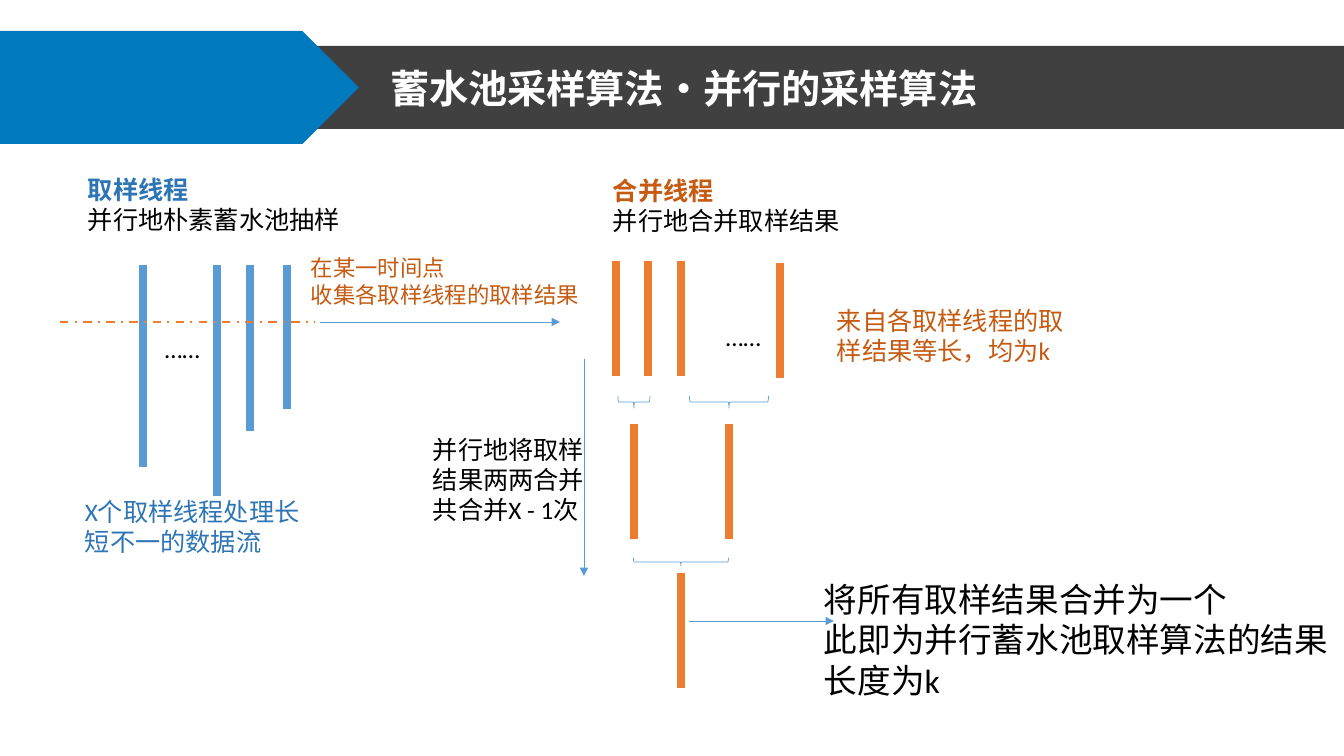
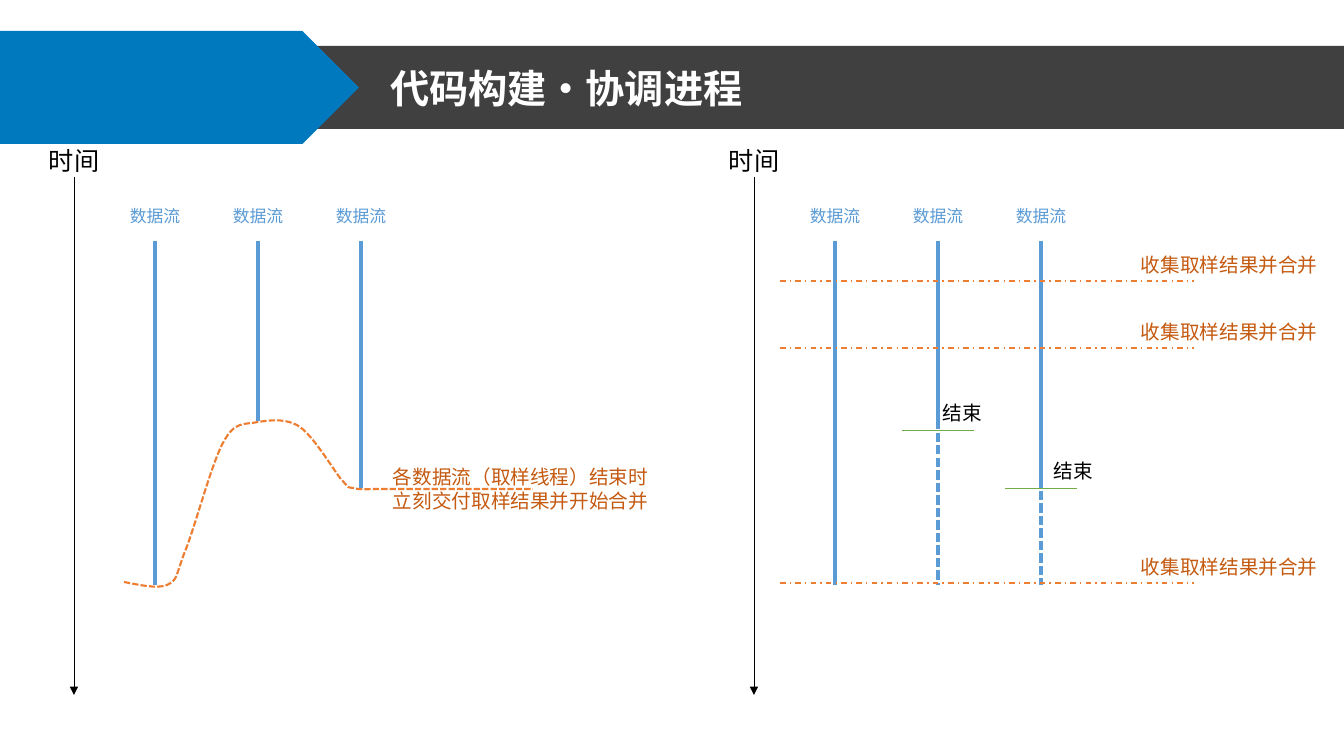
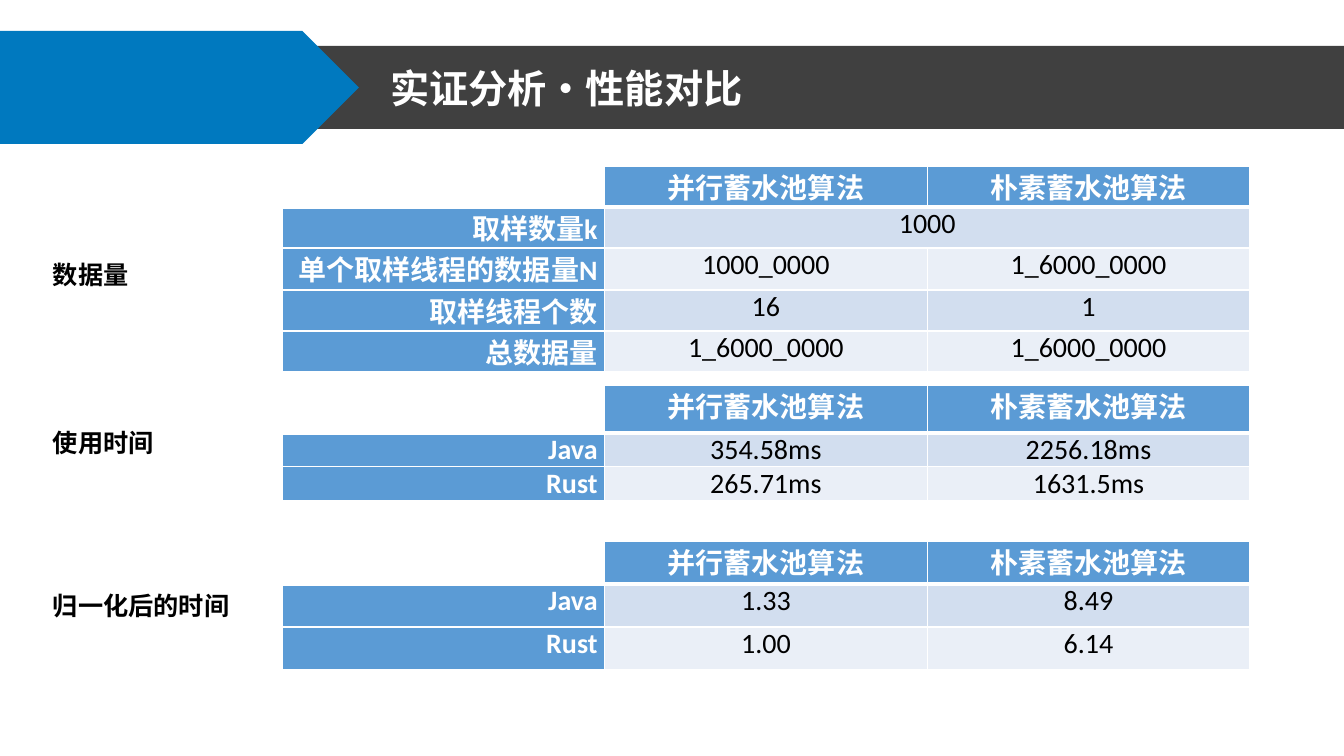
"""Build three slides on parallel reservoir sampling."""
from lxml.etree import SubElement
from pptx import Presentation
from pptx.dml.color import RGBColor
from pptx.enum.dml import MSO_LINE_DASH_STYLE as DASH
from pptx.enum.shapes import MSO_CONNECTOR, MSO_SHAPE
from pptx.enum.text import MSO_ANCHOR, MSO_AUTO_SIZE, PP_ALIGN
from pptx.oxml.ns import qn
from pptx.util import Pt

SCALE = 12192000 / 1344
CJK_FONT = "Noto Sans CJK SC"
BLACK = RGBColor(0x00, 0x00, 0x00)
WHITE = RGBColor(0xFF, 0xFF, 0xFF)
CHARCOAL = RGBColor(0x40, 0x40, 0x40)
ARROW_BLUE = RGBColor(0x00, 0x79, 0xBF)
BLUE = RGBColor(0x5B, 0x9B, 0xD5)
DEEP_BLUE = RGBColor(0x2E, 0x75, 0xB6)
ORANGE = RGBColor(0xED, 0x7D, 0x31)
DEEP_ORANGE = RGBColor(0xC5, 0x5A, 0x11)
GREEN = RGBColor(0x70, 0xAD, 0x47)
ROW_TINTS = [RGBColor(0xD2, 0xDE, 0xEF), RGBColor(0xEA, 0xEF, 0xF7)]

SAMPLER_TOP = 265
SAMPLERS = [(143, 467), (217, 496), (250, 431), (287, 409)]
MERGE_LENGTH = 115
MERGERS = [(616, 261), (648, 261), (681, 261), (780, 263),
           (634, 424), (729, 424), (681, 573)]
BRACES = [(634, 402, 32, 12, None), (729, 402, 79, 12, (0.08, 0.5)),
          (681, 562, 95, 8, None)]
FLOW_ARROWS = [(320, 322, 560, 322), (689, 621, 834, 621), (584, 359, 584, 576)]
PARALLEL_NOTES = [
    (["……"], (155, 328, 93, 31), {}),
    (["取样线程", "并行地朴素蓄水池抽样"], (78, 169, 380, 72), {"heading": DEEP_BLUE}),
    (["……"], (716, 316, 140, 40), {}),
    (["合并线程", "并行地合并取样结果"], (603, 170, 284, 72), {"heading": DEEP_ORANGE}),
    (["在某一时间点", "收集各取样线程的取样结果"], (301, 249, 298, 65),
     {"size": 16, "color": DEEP_ORANGE}),
    (["将所有取样结果合并为一个", "此即为并行蓄水池取样算法的结果", "长度为k"],
     (814, 574, 530, 132), {"size": 24}),
    (["X个取样线程处理长短不一的数据流"], (75, 491, 254, 72), {"color": DEEP_BLUE}),
    (["来自各取样线程的取样结果等长，均为k"], (827, 300, 261, 72),
     {"color": DEEP_ORANGE}),
    (["并行地将取样结果两两合并", "共合并X - 1次"], (423, 429, 175, 102), {}),
]

PANEL_LEFTS = [0, 680]
STREAM_TOP, STREAM_END = 241, 585
STREAMS = [(155, 585), (258, 421), (361, 488)]
DELIVERY_START = (124, 582)
DELIVERY_CURVES = [
    (140, 585), (157, 589), (167, 585), (177, 580), (175, 579), (184, 554),
    (194, 531), (211, 465), (223, 443), (235, 420), (245, 425), (258, 422),
    (271, 420), (287, 418), (300, 427), (314, 437), (333, 469), (341, 479),
    (350, 489), (347, 487), (353, 488), (358, 490), (374, 489), (374, 489)]
DELIVERY_END = (533, 489)
COLLECTIONS = [281, 348, 583]
FINISHES = [(938, 430, 933), (1041, 488, 1044)]
PADDED_STREAMS = [(938, 420), (1041, 453)]

HEADER = ["", "并行蓄水池算法", "朴素蓄水池算法"]
COMPARISONS = [
    ("数据量", (43, 254, 188, 40), 166, [41, 41, 42, 41, 41], [
        ["取样数量k", "1000", None],
        ["单个取样线程的数据量N", "1000_0000", "1_6000_0000"],
        ["取样线程个数", "16", "1"],
        ["总数据量", "1_6000_0000", "1_6000_0000"]]),
    ("使用时间", (43, 422, 188, 40), 385, [48, 33, 33], [
        ["Java", "354.58ms", "2256.18ms"],
        ["Rust", "265.71ms", "1631.5ms"]]),
    ("归一化后的时间", (43, 585, 215, 40), 541, [43, 43, 43], [
        ["Java", "1.33", "8.49"],
        ["Rust", "1.00", "6.14"]]),
]


def px(*lengths):
    return [round(length * SCALE) for length in lengths]


def write(frame, lines, size=18, color=BLACK, bold=False, align=PP_ALIGN.LEFT,
          font="Calibri", spacing=None, heading=None):
    for index, line in enumerate(lines):
        paragraph = frame.paragraphs[0] if index == 0 else frame.add_paragraph()
        paragraph.alignment = align
        paragraph.line_spacing = spacing
        is_heading = heading is not None and index == 0
        run = paragraph.add_run()
        run.text = line
        run.font.size = Pt(size)
        run.font.name = font
        run.font.bold = bold or is_heading
        run.font.color.rgb = heading if is_heading else color
        SubElement(run.font._element, qn("a:ea"), typeface=CJK_FONT)


def add_note(slide, lines, box, **style):
    frame = slide.shapes.add_textbox(*px(*box)).text_frame
    frame.word_wrap = True
    frame.auto_size = MSO_AUTO_SIZE.SHAPE_TO_FIT_TEXT
    write(frame, lines, **style)


def add_line(slide, ends, color, width, dash=None, arrow=False):
    link = slide.shapes.add_connector(MSO_CONNECTOR.STRAIGHT, *px(*ends))
    link.line.color.rgb = color
    link.line.width = Pt(width)
    if dash:
        link.line.dash_style = dash
    if arrow:
        SubElement(link.line._get_or_add_ln(), qn("a:tailEnd"), type="triangle")
    SubElement(link.element.spPr, qn("a:effectLst"))


def add_block(slide, preset, box, color):
    block = slide.shapes.add_shape(preset, *px(*box))
    block.shadow.inherit = False
    block.fill.solid()
    block.fill.fore_color.rgb = color
    block.line.fill.background()
    return block


def add_brace(slide, center_x, center_y, span, depth, bends):
    box = (center_x - depth / 2, center_y - span / 2, depth, span)
    brace = slide.shapes.add_shape(MSO_SHAPE.LEFT_BRACE, *px(*box))
    brace.rotation = 270
    brace.shadow.inherit = False
    brace.fill.background()
    brace.line.color.rgb = BLUE
    brace.line.width = Pt(0.5)
    for index, bend in enumerate(bends or ()):
        brace.adjustments[index] = bend


def add_delivery_curve(slide):
    builder = slide.shapes.build_freeform(*DELIVERY_START, scale=SCALE)
    builder.add_line_segments(DELIVERY_CURVES + [DELIVERY_END], close=False)
    curve = builder.convert_to_shape()
    curve.shadow.inherit = False
    curve.fill.background()
    curve.line.color.rgb = ORANGE
    curve.line.width = Pt(1.5)
    curve.line.dash_style = DASH.SQUARE_DOT
    outline = curve.element.spPr.find(".//" + qn("a:path"))
    segments = outline.findall(qn("a:lnTo"))
    for start in range(0, len(DELIVERY_CURVES), 3):
        bezier = outline.makeelement(qn("a:cubicBezTo"))
        segments[start].addprevious(bezier)
        for segment in segments[start:start + 3]:
            bezier.append(segment[0])
            outline.remove(segment)


def add_borders(cell, row):
    thick = {(0, "a:lnB"), (1, "a:lnT")}
    properties = cell._tc.get_or_add_tcPr()
    for side in ("a:lnL", "a:lnR", "a:lnT", "a:lnB"):
        width = Pt(3 if (row, side) in thick else 1)
        border = SubElement(properties, qn(side), w=str(width))
        SubElement(SubElement(border, qn("a:solidFill")), qn("a:srgbClr"), val=str(WHITE))


def add_comparison(slide, top, heights, rows):
    frame = slide.shapes.add_table(len(heights), 3, *px(282, top, 968, sum(heights)))
    table = frame.table
    for row, values in enumerate([HEADER] + rows):
        table.rows[row].height = px(heights[row])[0]
        for column, value in enumerate(values):
            cell = table.cell(row, column)
            cell.margin_left = cell.margin_right = px(7)[0]
            cell.margin_top = cell.margin_bottom = 0
            add_borders(cell, row)
            is_label = row == 0 or column == 0
            cell.fill.solid()
            cell.fill.fore_color.rgb = (
                WHITE if value == "" else BLUE if is_label else ROW_TINTS[(row - 1) % 2])
            if value:
                write(cell.text_frame, [value], size=20, bold=is_label,
                      color=WHITE if is_label else BLACK,
                      align=PP_ALIGN.CENTER if row == 0 or column else PP_ALIGN.RIGHT)
            if value is None:
                table.cell(row, column - 1).merge(cell)


def prepare_layout(deck):
    layout = deck.slide_layouts[5]
    title, *spares = layout.placeholders
    for spare in spares:
        layout.shapes.element.remove(spare.element)
    title.left, title.top, title.width, title.height = px(380, 61, 732, 60)
    title.text_frame.vertical_anchor = MSO_ANCHOR.MIDDLE
    title.text_frame.auto_size = MSO_AUTO_SIZE.NONE
    return layout


def add_bands(slide, layout):
    bands = [add_block(slide, MSO_SHAPE.RECTANGLE, (295, 46, 1049, 83), CHARCOAL),
             add_block(slide, MSO_SHAPE.PENTAGON, (0, 31, 359, 113), ARROW_BLUE)]
    for depth, band in enumerate(bands, start=2):
        layout.shapes.element.insert(depth, band.element)


def add_titled_slide(deck, layout, title):
    slide = deck.slides.add_slide(layout)
    write(slide.shapes.title.text_frame, [title], size=28, color=WHITE, bold=True,
          font=CJK_FONT, spacing=0.9)
    return slide


def draw_parallel_sampling(slide):
    for x, bottom in SAMPLERS:
        add_line(slide, (x, SAMPLER_TOP, x, bottom), BLUE, 6)
    for x, top in MERGERS:
        add_line(slide, (x, top, x, top + MERGE_LENGTH), ORANGE, 6)
    add_line(slide, (60, 322, 315, 322), ORANGE, 1.5, dash=DASH.DASH_DOT)
    for ends in FLOW_ARROWS:
        add_line(slide, ends, BLUE, 0.5, arrow=True)
    for brace in BRACES:
        add_brace(slide, *brace)
    for lines, box, style in PARALLEL_NOTES:
        add_note(slide, lines, box, **style)


def draw_coordination(slide):
    for left in PANEL_LEFTS:
        add_line(slide, (left + 74, 177, left + 74, 695), BLACK, 0.5, arrow=True)
        add_note(slide, ["时间"], (left + 39, 140, 88, 40))
        for offset, bottom in STREAMS:
            x = left + offset
            add_line(slide, (x, STREAM_TOP, x, bottom), BLUE, 2.25)
            add_note(slide, ["数据流"], (x - 35, 201, 71, 30), size=12, color=BLUE)
    add_note(slide, ["各数据流（取样线程）结束时立刻交付取样结果并开始合并"],
             (383, 460, 288, 57), size=14, color=DEEP_ORANGE)
    add_delivery_curve(slide)
    for x, top in PADDED_STREAMS:
        add_line(slide, (x, top, x, STREAM_END), BLUE, 2.25, dash=DASH.SQUARE_DOT)
    for y in COLLECTIONS:
        add_line(slide, (780, y, 1194, y), ORANGE, 1, dash=DASH.DASH_DOT)
        add_note(slide, ["收集取样结果并合并"], (1131, y - 33, 213, 34),
                 size=14, color=DEEP_ORANGE)
    for x, y, label_left in FINISHES:
        add_line(slide, (x - 36, y, x + 36, y), GREEN, 0.5)
        add_note(slide, ["结束"], (label_left, y - 34, 123, 34), size=14)


def draw_performance(slide):
    for label, box, top, heights, rows in COMPARISONS:
        add_comparison(slide, top, heights, rows)
        add_note(slide, [label], box, bold=True)


PAGES = [("蓄水池采样算法·并行的采样算法", draw_parallel_sampling),
         ("代码构建·协调进程", draw_coordination),
         ("实证分析·性能对比", draw_performance)]


def main():
    deck = Presentation()
    deck.slide_width, deck.slide_height = px(1344, 756)
    layout = prepare_layout(deck)
    for number, (title, draw) in enumerate(PAGES):
        slide = add_titled_slide(deck, layout, title)
        if number == 0:
            add_bands(slide, layout)
        draw(slide)
    deck.save("out.pptx")


if __name__ == "__main__":
    main()
